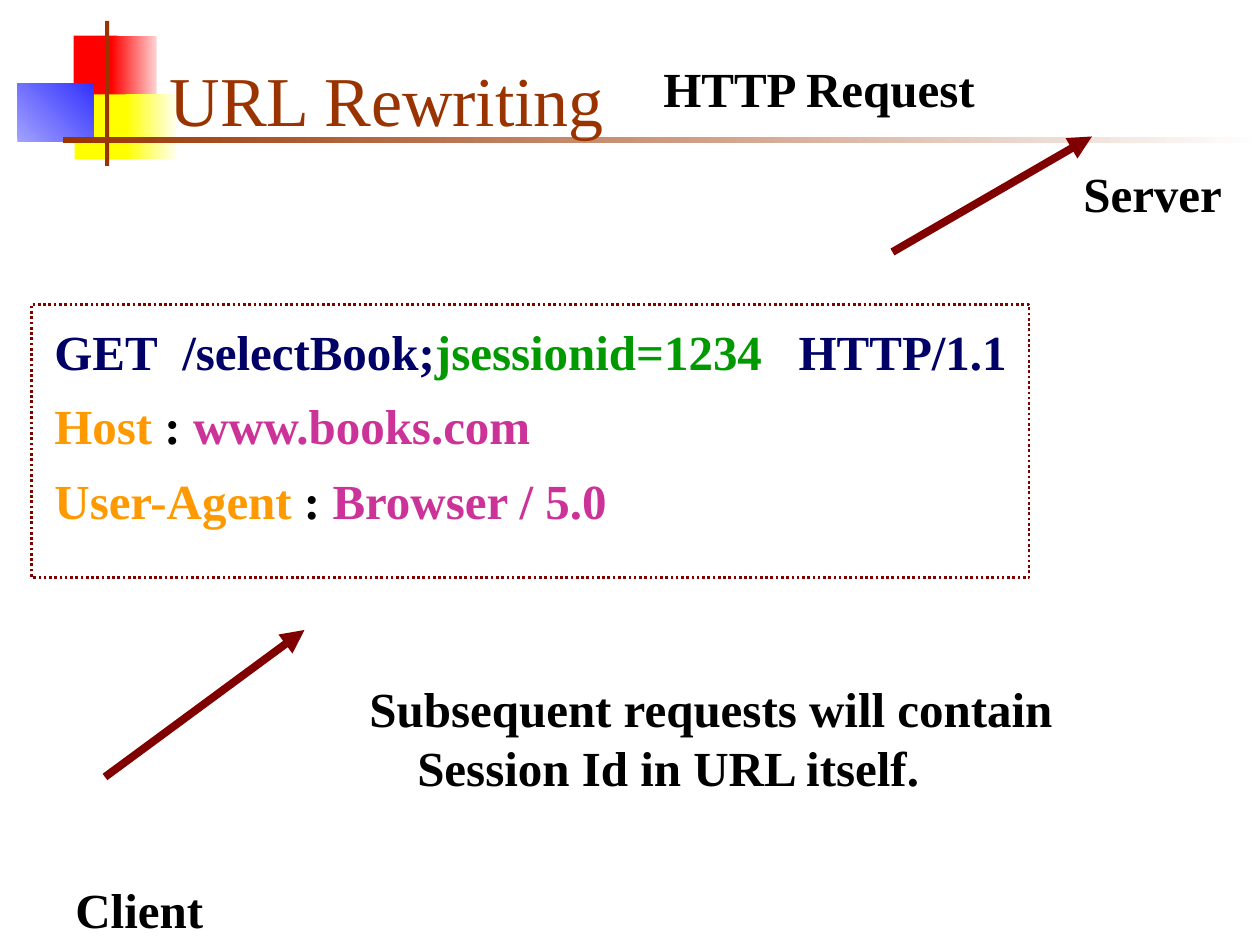
from lxml.etree import SubElement
from pptx import Presentation
from pptx.dml.color import RGBColor
from pptx.enum.dml import MSO_LINE
from pptx.enum.shapes import MSO_CONNECTOR, MSO_SHAPE
from pptx.enum.text import MSO_ANCHOR, MSO_AUTO_SIZE
from pptx.oxml.ns import qn
from pptx.util import Inches, Pt

COLORS = {
    "red": "FF0000", "pale red": "FFD1D1", "yellow": "FFFF00",
    "pale yellow": "FFFFF0", "blue": "3333FF", "pale blue": "A2A2FF",
    "brown": "993300", "white": "FFFFFF", "maroon": "800000",
    "navy": "000066", "green": "009900", "orange": "FF9900",
    "pink": "CC3399", "black": "000000",
}
FONT = "Times New Roman"

deck = Presentation()
deck.slide_width, deck.slide_height = Inches(10), Inches(7.5)
page = deck.slides.add_slide(deck.slide_layouts[6])
# Grid of 120 columns by 90 rows, so one unit is a twelfth of an inch
UNIT = deck.slide_width / 120


def grid(*units):
    return [round(unit * UNIT) for unit in units]


def add_text(place, pieces, size=28, bold=True):
    """Add a text box; pieces are (text, colour, extra spacing in points)."""
    box = page.shapes.add_textbox(*grid(*place))
    box.text_frame.word_wrap = True
    para = box.text_frame.paragraphs[0]
    for text, color, spacing in pieces:
        span = para.add_run()
        span.text = text
        span.font.name, span.font.size, span.font.bold = FONT, Pt(size), bold
        span.font.color.rgb = RGBColor.from_string(COLORS[color])
        if spacing:
            span.font._element.set("spc", str(spacing * 100))
    return box


# Corner blocks, vertical bar and fading rule behind the title
blocks = [
    ((7, 3.4, 4.2, 6.2), ["red"], 0),
    ((10.6, 3.4, 4.3, 6.2), ["red", "pale red"], 0),
    ((7.1, 9, 5.5, 6.2), ["yellow"], 0),
    ((12, 9, 4.8, 6.2), ["yellow", "pale yellow"], 0),
    ((1.65, 8, 7.3, 5.5), ["pale blue", "blue"], 45),
    ((10, 2, 0.4, 13.8), ["brown"], 0),
    ((6, 13, 114, 0.6), ["brown", "white"], 0),
]
for place, colors, angle in blocks:
    block = page.shapes.add_shape(MSO_SHAPE.RECTANGLE, *grid(*place))
    block.shadow.inherit = False
    block.line.fill.background()
    if len(colors) == 1:
        block.fill.solid()
        block.fill.fore_color.rgb = RGBColor.from_string(COLORS[colors[0]])
    else:
        block.fill.gradient()
        block.fill.gradient_angle = angle
        for stop, color, position in zip(block.fill.gradient_stops, colors, (0, 1)):
            stop.color.rgb = RGBColor.from_string(COLORS[color])
            stop.position = position

# Title
title = add_text((15, 3, 102.2, 11), [("URL Rewriting", "brown", 0)], 40, False)
title.text_frame.vertical_anchor = MSO_ANCHOR.BOTTOM

# Dotted frame around the request
frame = page.shapes.add_shape(MSO_SHAPE.RECTANGLE, *grid(3, 29, 95, 26))
frame.shadow.inherit = False
frame.fill.background()
frame.line.color.rgb = RGBColor.from_string(COLORS["maroon"])
frame.line.width = Pt(1.5)
frame.line.dash_style = MSO_LINE.ROUND_DOT

# Arrows from client to request and from request to server
for ends in [(85, 24, 104, 13), (10, 74, 29, 60)]:
    arrow = page.shapes.add_connector(MSO_CONNECTOR.STRAIGHT, *grid(*ends))
    arrow.line.color.rgb = RGBColor.from_string(COLORS["maroon"])
    arrow.line.width = Pt(4.5)
    SubElement(arrow.line._get_or_add_ln(), qn("a:tailEnd"), type="triangle")
    SubElement(arrow._element.spPr, qn("a:effectLst"))

# Request lines and labels, all with a hanging indent
texts = [
    ((4, 30, 98, 6.8), [("GET", "navy", 0), (" ", "navy", 7),
                        ("/selectBook;", "navy", 0),
                        ("jsessionid=1234", "green", 0),
                        (" ", "navy", 14), ("HTTP/1.1", "navy", 0)]),
    ((4, 37.1, 52, 6.8), [("Host", "orange", 0), (" : ", "black", 0),
                          ("www.books.com", "pink", 0)]),
    ((4, 44.2, 68, 6.8), [("User-Agent", "orange", 0), (" : ", "black", 0),
                          ("Browser / 5.0", "pink", 0)]),
    ((62, 5, 34, 6.8), [("HTTP Request", "black", 0)]),
    ((102, 15, 17, 6.8), [("Server", "black", 0)]),
    ((6, 83.2, 17, 6.8), [("Client", "black", 0)]),
    ((34, 64, 69, 12.5), [("Subsequent requests will contain Session Id "
                           "in URL itself.", "black", 0)]),
]
for place, pieces in texts:
    box = add_text(place, pieces)
    box.text_frame.auto_size = MSO_AUTO_SIZE.SHAPE_TO_FIT_TEXT
    para = box.text_frame.paragraphs[0]
    para.space_before = Pt(17.5)
    indent = Inches(0.38)
    para._p.get_or_add_pPr().set("marL", str(indent))
    para._p.get_or_add_pPr().set("indent", str(-indent))

deck.save("out.pptx")
